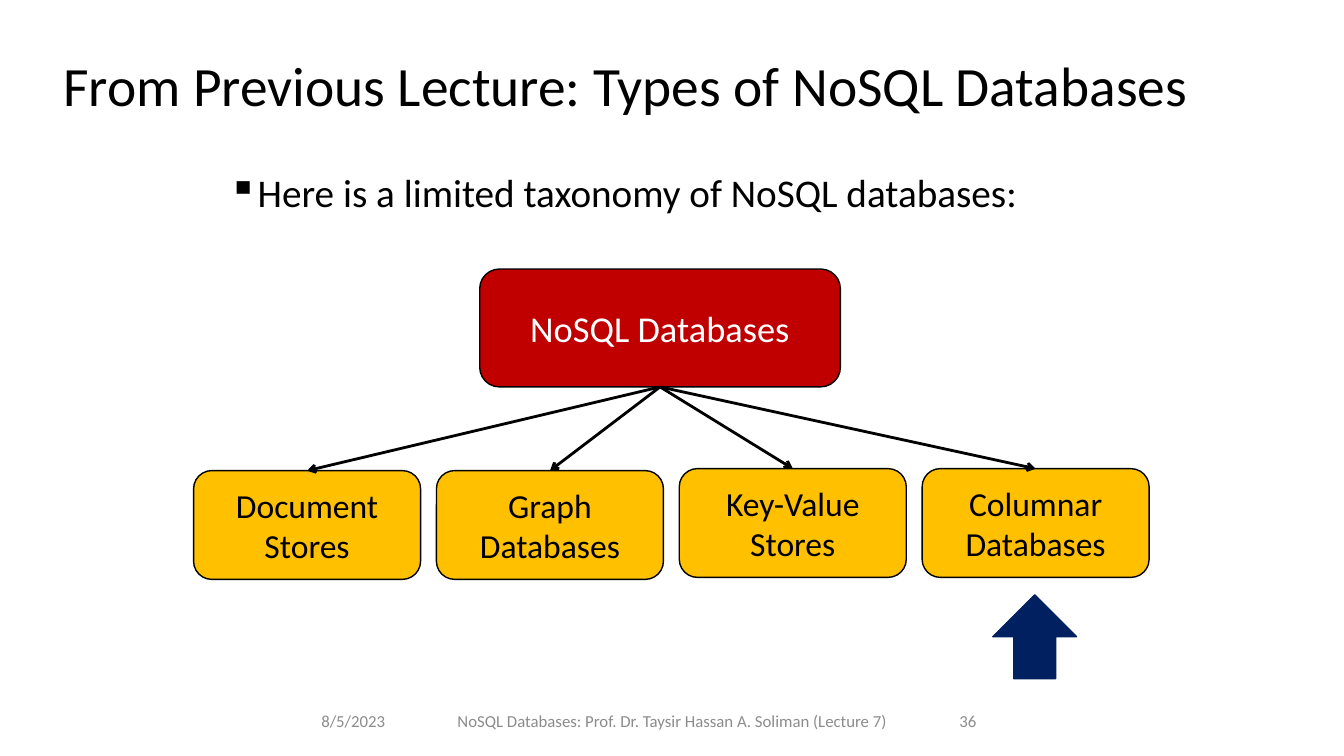
from dataclasses import dataclass

from lxml.etree import SubElement
from pptx import Presentation
from pptx.dml.color import RGBColor
from pptx.enum.shapes import MSO_CONNECTOR as Connector, MSO_SHAPE as Shape
from pptx.enum.text import MSO_ANCHOR as Anchor, PP_ALIGN as Align
from pptx.oxml.ns import qn
from pptx.util import Cm, Pt


@dataclass(frozen=True)
class Theme:
    font: str = "Calibri"
    ink: str = "000000"
    light: str = "FFFFFF"
    muted: str = "8C8C8C"
    root: str = "C00000"
    store: str = "FFC000"
    marker: str = "002060"
    title_size: float = 39.6
    body_size: float = 28
    root_size: float = 26
    store_size: float = 24
    footer_size: float = 12
    outline: float = 1
    arrow: float = 2


class TaxonomySlide:
    """Draws styled elements on one slide."""

    def __init__(self, slide, theme):
        self.shapes = slide.shapes
        self.theme = theme

    def fill_text(self, frame, text, size, color, align, anchor):
        frame.word_wrap = True
        frame.vertical_anchor = anchor
        frame.text = text
        paragraph = frame.paragraphs[0]
        paragraph.alignment = align
        font = paragraph.runs[0].font
        font.name, font.size = self.theme.font, Pt(size)
        font.color.rgb = RGBColor.from_string(color)
        return paragraph

    def text(self, box, text, size, color, align=Align.LEFT, anchor=Anchor.MIDDLE):
        frame = self.shapes.add_textbox(*map(Cm, box)).text_frame
        return self.fill_text(frame, text, size, color, align, anchor)

    def bullet(self, box, text):
        theme = self.theme
        paragraph = self.text(box, text, theme.body_size, theme.ink, anchor=Anchor.TOP)
        paragraph.line_spacing = 0.9
        properties = paragraph._p.get_or_add_pPr()
        properties.set("marL", str(Cm(0.64)))
        properties.set("indent", str(-Cm(0.64)))
        SubElement(properties, qn("a:buChar"), char="▪")

    def block(self, preset, box, fill, line):
        block = self.shapes.add_shape(preset, *map(Cm, box))
        block.shadow.inherit = False
        block.fill.solid()
        block.fill.fore_color.rgb = RGBColor.from_string(fill)
        block.line.color.rgb = RGBColor.from_string(line)
        block.line.width = Pt(self.theme.outline)
        return block

    def node(self, box, text, fill, size, color):
        node = self.block(Shape.ROUNDED_RECTANGLE, box, fill, self.theme.ink)
        self.fill_text(node.text_frame, text, size, color, Align.CENTER, Anchor.MIDDLE)
        return node

    def branch(self, parent, child):
        branch = self.shapes.add_connector(Connector.STRAIGHT, 0, 0, 0, 0)
        branch.begin_connect(parent, 2)
        branch.end_connect(child, 0)
        branch.line.color.rgb = RGBColor.from_string(self.theme.ink)
        branch.line.width = Pt(self.theme.arrow)
        outline = branch._element.spPr.find(qn("a:ln"))
        SubElement(outline, qn("a:tailEnd"), type="arrow")
        SubElement(branch._element.spPr, qn("a:effectLst"))


def main():
    deck = Presentation()
    deck.slide_width, deck.slide_height = Cm(33.87), Cm(19.05)
    theme = Theme()
    page = TaxonomySlide(deck.slides.add_slide(deck.slide_layouts[6]), theme)

    title = page.text((1.35, 0.64, 29.64, 3.18),
                      "From Previous Lecture: Types of NoSQL Databases",
                      theme.title_size, theme.ink)
    title.line_spacing = 0.9
    page.bullet((5.51, 4.24, 23.5, 14.6),
                "Here is a limited taxonomy of NoSQL databases:")

    root = page.node((12.09, 6.78, 9.09, 2.97), "NoSQL Databases",
                     theme.root, theme.root_size, theme.light)
    stores = [("Document Stores", 11.86), ("Graph Databases", 11.86),
              ("Key-Value Stores", 11.81), ("Columnar Databases", 11.81)]
    nodes = [page.node((4.88 + 6.12 * column, top, 5.72, 2.74), store,
                       theme.store, theme.store_size, theme.ink)
             for column, (store, top) in enumerate(stores)]
    for node in nodes:
        page.branch(root, node)
    page.block(Shape.UP_ARROW, (25.02, 14.99, 2.11, 2.11), theme.marker, theme.marker)

    footers = [
        (2.34, 7.62, "8/5/2023", Align.RIGHT),
        (11.23, 11.43, "NoSQL Databases: Prof. Dr. Taysir Hassan A. Soliman (Lecture 7)",
         Align.CENTER),
        (23.93, 7.62, "36", Align.LEFT),
    ]
    for left, width, footer, align in footers:
        page.text((left, 17.65, width, 1.02), footer,
                  theme.footer_size, theme.muted, align)

    deck.save("out.pptx")


if __name__ == "__main__":
    main()
